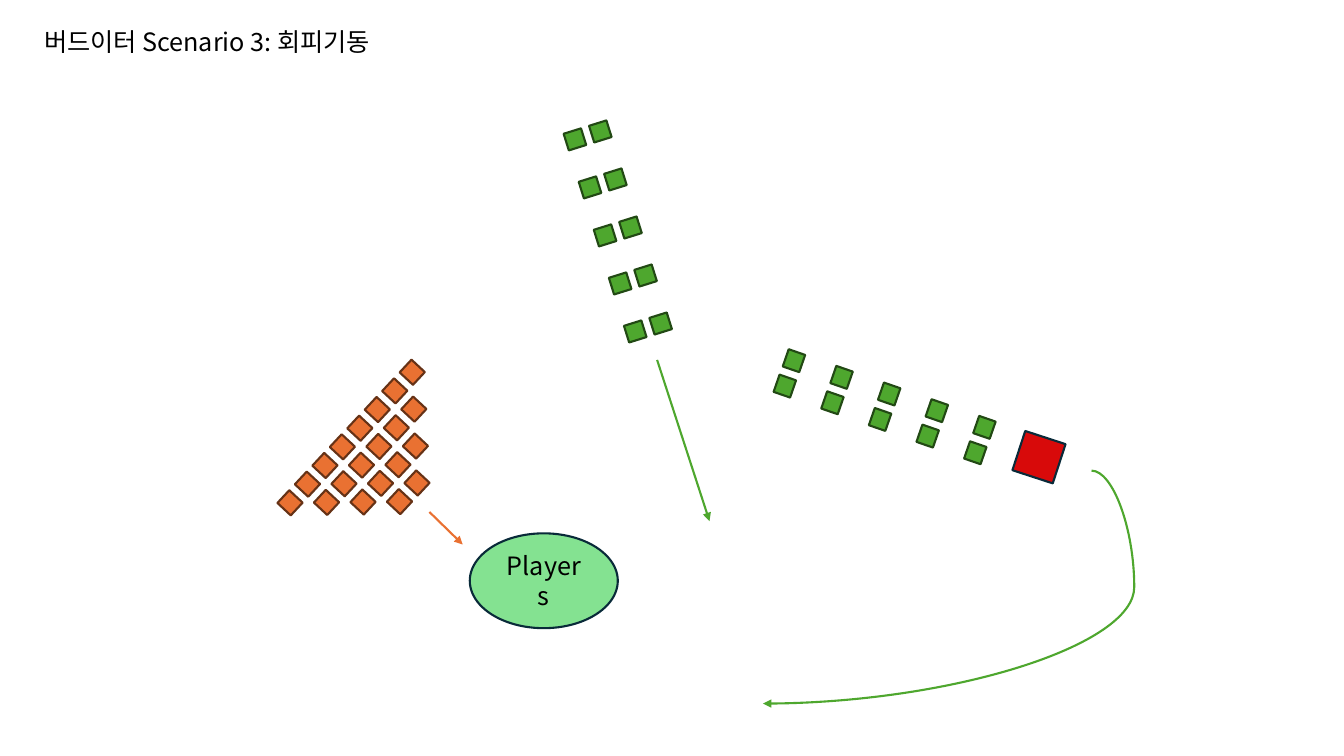
from lxml import etree
from pptx import Presentation
from pptx.dml.color import RGBColor
from pptx.enum.shapes import MSO_CONNECTOR, MSO_SHAPE
from pptx.enum.text import MSO_ANCHOR, MSO_AUTO_SIZE, PP_ALIGN
from pptx.oxml.ns import qn
from pptx.util import Cm, Pt

RECT, OVAL = MSO_SHAPE.RECTANGLE, MSO_SHAPE.OVAL
STRAIGHT, CURVE = MSO_CONNECTOR.STRAIGHT, MSO_CONNECTOR.CURVE
FONT = "Noto Sans CJK KR"
BLACK, NAVY, RED, MINT = "000000", "092A39", "D80A0A", "84E291"
ORANGE, BROWN = "E97132", "663216"
GREEN, DARK_GREEN = "4EA72E", "224914"
UNIT_SIZE = (0.44, 0.46)


def color(hex_value):
    return RGBColor.from_string(hex_value)


def add_outlined(shapes, kind, box, fill, outline, rotation=0):
    shape = shapes.add_shape(kind, *(Cm(length) for length in box))
    shape.shadow.inherit = False
    shape.rotation = rotation
    shape.fill.solid()
    shape.fill.fore_color.rgb = color(fill)
    shape.line.color.rgb = color(outline)
    shape.line.width = Pt(1.5)
    return shape


def add_run(paragraph, text):
    run = paragraph.add_run()
    run.text = text
    run.font.name = FONT
    run.font.size = Pt(18)
    run.font.color.rgb = color(BLACK)
    east_asian = etree.SubElement(run.font._element, qn("a:ea"))
    east_asian.set("typeface", FONT)


def add_title(slide, text):
    title = slide.shapes.add_textbox(Cm(0.86), Cm(0.53), Cm(10.97), Cm(1.02))
    title.text_frame.word_wrap = True
    title.text_frame.auto_size = MSO_AUTO_SIZE.SHAPE_TO_FIT_TEXT
    add_run(title.text_frame.paragraphs[0], text)


def add_players(slide):
    players = add_outlined(slide.shapes, OVAL, (11.84, 13.44, 3.73, 2.39), MINT, NAVY)
    players.text_frame.word_wrap = True
    players.text_frame.vertical_anchor = MSO_ANCHOR.MIDDLE
    paragraph = players.text_frame.paragraphs[0]
    paragraph.alignment = PP_ALIGN.CENTER
    add_run(paragraph, "Players")


def add_formation(slide, origin, file_step, rank_step, file_lengths, rotation, fill, outline):
    """Group of units: file_step runs along a file, rank_step leads to the next file."""
    squad = slide.shapes.add_group_shape()
    for rank, length in enumerate(file_lengths):
        for place in range(length):
            left, top = (start + place * along + rank * across for start, along, across
                         in zip(origin, file_step, rank_step))
            add_outlined(squad.shapes, RECT, (left, top, *UNIT_SIZE), fill, outline, rotation)


def add_arrow(slide, kind, start, end, line_color):
    arrow = slide.shapes.add_connector(kind, *(Cm(length) for length in (*start, *end)))
    arrow.line.color.rgb = color(line_color)
    arrow.line.width = Pt(1.5)
    head = etree.SubElement(arrow.line._get_or_add_ln(), qn("a:tailEnd"))
    head.set("type", "triangle")
    etree.SubElement(arrow._element.spPr, qn("a:effectLst"))
    return arrow


def bend(arrow, share):
    """Place the turn of a curved arrow at a share of its width."""
    geometry = arrow._element.spPr.find(qn("a:prstGeom"))
    guides = geometry.find(qn("a:avLst"))
    if guides is None:
        guides = etree.SubElement(geometry, qn("a:avLst"))
    guide = etree.SubElement(guides, qn("a:gd"))
    guide.set("name", "adj1")
    guide.set("fmla", f"val {round(share * 100000)}")


def main():
    prs = Presentation()
    prs.slide_width, prs.slide_height = Cm(33.87), Cm(19.05)
    slide = prs.slides.add_slide(prs.slide_layouts[6])

    add_title(slide, "버드이터 Scenario 3: 회피기동")
    add_players(slide)
    add_outlined(slide.shapes, RECT, (25.65, 11, 1.07, 1.04), RED, NAVY, 18.1)

    add_formation(slide, (7.09, 12.44), (0.44, -0.47), (0.92, -0.01), (8, 6, 4, 2),
                  313, ORANGE, BROWN)
    add_formation(slide, (19.79, 8.86), (1.2, 0.42), (-0.23, 0.64), (5, 5),
                  19.1, GREEN, DARK_GREEN)
    add_formation(slide, (14.27, 3.28), (0.38, 1.21), (0.64, -0.2), (5, 5),
                  252.6, GREEN, DARK_GREEN)

    add_arrow(slide, STRAIGHT, (16.56, 9.07), (17.88, 13.13), GREEN)
    evasion = add_arrow(slide, CURVE, (27.51, 11.86), (19.23, 17.73), GREEN)
    bend(evasion, -0.13)
    add_arrow(slide, STRAIGHT, (10.82, 12.9), (11.66, 13.72), ORANGE)

    prs.save("out.pptx")


if __name__ == "__main__":
    main()
